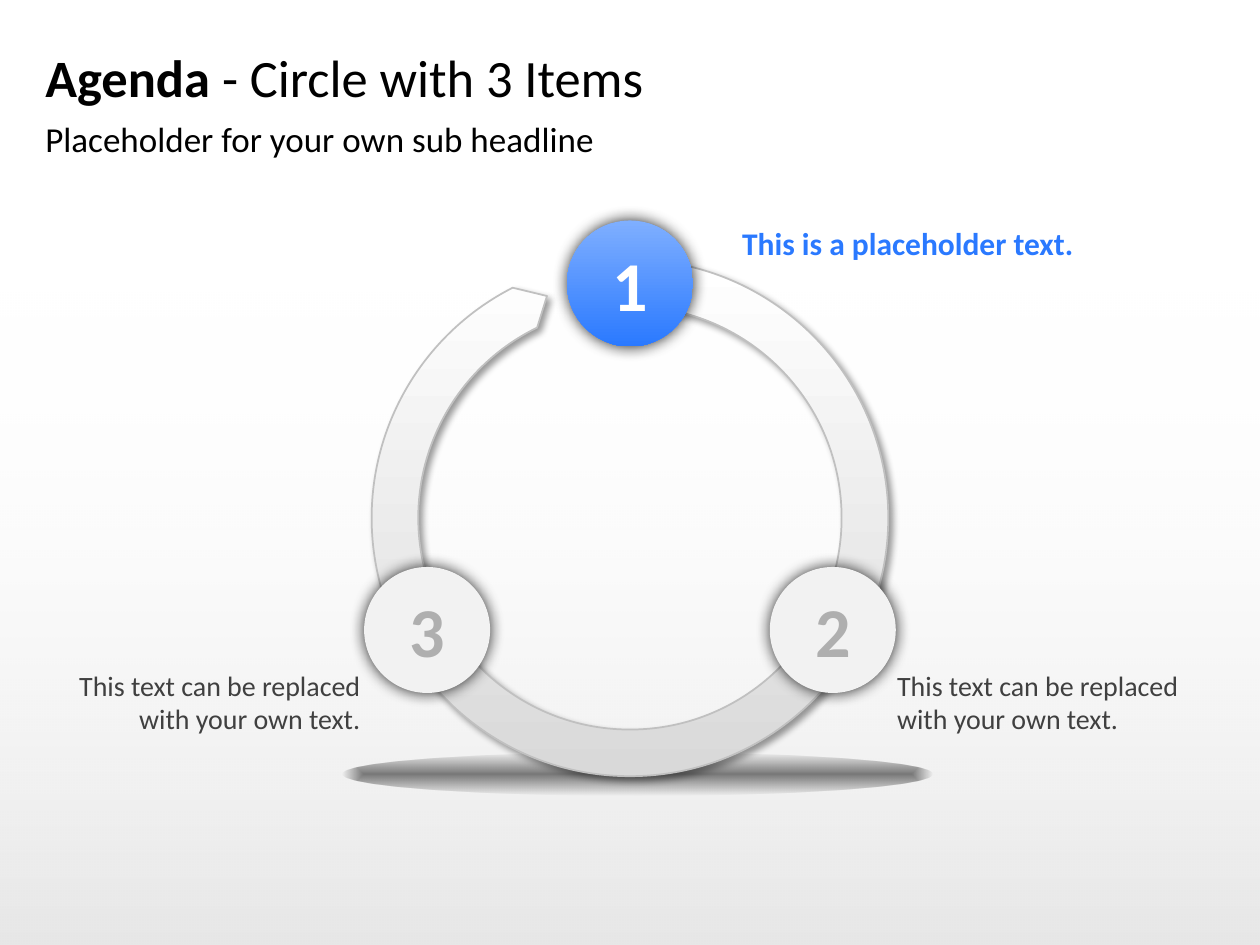
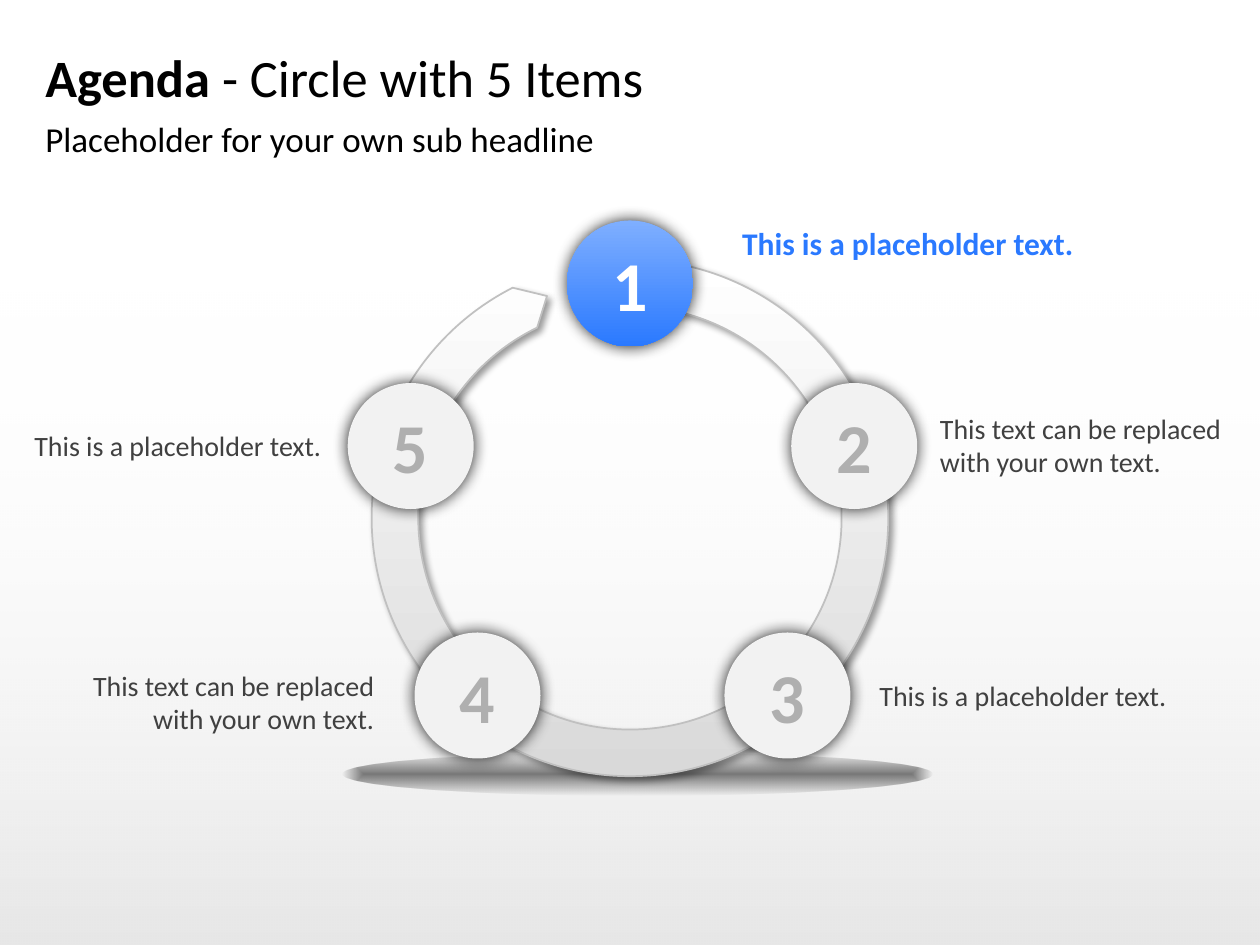
import itertools
import math

import pptx
import pptx.dml.color
import pptx.enum.shapes
import pptx.enum.text
import pptx.oxml
import pptx.oxml.ns
import pptx.util
from pptx.util import Inches

RGBColor = pptx.dml.color.RGBColor
MSO_SHAPE = pptx.enum.shapes.MSO_SHAPE
ALIGN = pptx.enum.text.PP_ALIGN
ANCHOR = pptx.enum.text.MSO_ANCHOR
FIT = pptx.enum.text.MSO_AUTO_SIZE
qn = pptx.oxml.ns.qn

BLACK = RGBColor(0x00, 0x00, 0x00)
WHITE = RGBColor(0xFF, 0xFF, 0xFF)
BLUE = RGBColor(0x2A, 0x79, 0xFF)
LIGHT_BLUE = RGBColor(0x7F, 0xAF, 0xFF)
DISC_GRAY = RGBColor(0xF2, 0xF2, 0xF2)
NUMBER_GRAY = RGBColor(0xAF, 0xAF, 0xAF)
TEXT_GRAY = RGBColor(0x40, 0x40, 0x40)
RING_GRAY = RGBColor(0xD9, 0xD9, 0xD9)
RING_EDGE = RGBColor(0xC0, 0xC0, 0xC0)

CENTER_X, CENTER_Y = 5, 4.11
OUTER_R, INNER_R, TIP_R = 2.05, 1.68, 1.88
OUTER_ANGLES = (-3, 90, 180, 270, 333)
INNER_ANGLES = (334, 270, 180, 90, -3)
TIP_ANGLE = 339.5
DISC = 1
LABEL_W = 2.32
LINE_H = 0.27

SHORT = "This is a placeholder text."
LONG = "This text can be replaced with your own text."


def write(tf, text, size=16, color=BLACK, bold=False, align=ALIGN.LEFT,
          anchor=ANCHOR.MIDDLE, fit=FIT.NONE, lead=""):
    tf.word_wrap = True
    tf.auto_size = fit
    tf.vertical_anchor = anchor
    tf.margin_left = tf.margin_right = tf.margin_top = tf.margin_bottom = 0
    p = tf.paragraphs[0]
    p.alignment = align
    p.space_before = pptx.util.Pt(0)
    for part, is_bold in ((lead, True), (text, bold)):
        if part:
            r = p.add_run()
            r.text = part
            r.font.name = "Calibri"
            r.font.size = pptx.util.Pt(size)
            r.font.bold = is_bold
            r.font.color.rgb = color
    return p


def ring_point(radius, degrees):
    a = math.radians(degrees)
    return (Inches(CENTER_X + radius * math.sin(a)),
            Inches(CENTER_Y - radius * math.cos(a)))


def arc_controls(radius, start, end):
    k = 4 / 3 * math.tan(math.radians(end - start) / 4)
    lean = math.degrees(math.atan(k))
    reach = radius * math.hypot(1, k)
    return ring_point(reach, start + lean), ring_point(reach, end - lean)


def element(xml):
    head, tail = xml.split(" ", 1)
    return pptx.oxml.parse_xml(f"{head} {pptx.oxml.ns.nsdecls('a')} {tail}")


class Deck:
    def __init__(self):
        self.prs = pptx.Presentation()
        self.prs.slide_width = Inches(10)
        self.prs.slide_height = Inches(7.5)
        self.s = None

    def add_slide(self, topic):
        self.s = self.prs.slides.add_slide(self.prs.slide_layouts[1])
        title, body = self.s.placeholders
        self.place(title, 0.36, 0.27, 9.29, 0.67)
        write(title.text_frame, topic, size=30, lead="Agenda ")
        self.place(body, 0.36, 0.93, 9.29, 0.37)
        p = write(body.text_frame, "Placeholder for your own sub headline",
                  size=20, anchor=ANCHOR.TOP)
        pPr = p._p.get_or_add_pPr()
        pPr.set("marL", "0")
        pPr.set("indent", "0")
        pPr.append(element("<a:buNone />"))

    def place(self, sp, x, y, w, h):
        sp.left, sp.top, sp.width, sp.height = map(Inches, (x, y, w, h))

    def shape(self, shapes, kind, x, y, w, h):
        sp = shapes.add_shape(kind, *map(Inches, (x, y, w, h)))
        sp.shadow.inherit = False
        sp.line.fill.background()
        return sp

    def gradient(self, sp, colors, angle=270, alphas=(), from_center=False):
        sp.fill.gradient()
        sp.fill.gradient_angle = angle
        for stop, color in zip(sp.fill.gradient_stops, colors):
            stop.color.rgb = color
        grad = sp._element.spPr.find(qn("a:gradFill"))
        for clr, alpha in zip(grad.iter(qn("a:srgbClr")), alphas):
            clr.append(element(f'<a:alpha val="{alpha * 1000}"/>'))
        if from_center:
            grad.replace(grad.find(qn("a:lin")), element(
                '<a:path path="shape"><a:fillToRect l="50000" t="50000" '
                'r="50000" b="50000"/></a:path>'))

    def shadow(self, sp, alpha, blur, dist=0, angle=0):
        sp.shadow.inherit = False
        sp._element.spPr.find(qn("a:effectLst")).append(element(
            f'<a:outerShdw blurRad="{blur * 12700}" dist="{dist * 12700}" '
            f'dir="{angle * 60000}" algn="ctr" rotWithShape="0">'
            f'<a:srgbClr val="000000"><a:alpha val="{alpha * 1000}"/>'
            '</a:srgbClr></a:outerShdw>'))

    def master_glow(self):
        sp = self.shape(self.s.shapes, MSO_SHAPE.RECTANGLE, 0, 2.21, 10, 5.29)
        self.gradient(sp, (BLACK, WHITE), angle=90, alphas=(10, 0))
        self.prs.slide_master.element.cSld.spTree.insert(2, sp._element)

    def floor_shadow(self):
        sp = self.shape(self.s.shapes, MSO_SHAPE.OVAL, 2.72, 5.97, 4.68, 0.34)
        self.gradient(sp, (BLACK, BLACK), alphas=(50, 0), from_center=True)
        self.s.shapes._spTree.insert(2, sp._element)

    def ring(self):
        corners = [(OUTER_R, a) for a in OUTER_ANGLES]
        corners.append((TIP_R, TIP_ANGLE))
        corners += [(INNER_R, a) for a in INNER_ANGLES]
        points = [ring_point(*corner) for corner in corners]
        fb = self.s.shapes.build_freeform(*points[0])
        fb.add_line_segments(points[1:], close=True)
        sp = fb.convert_to_shape()
        lines = list(sp._element.iter(qn("a:lnTo")))
        for line, (a, b) in zip(lines, itertools.pairwise(corners)):
            if a[0] == b[0]:
                line.tag = qn("a:cubicBezTo")
                for i, (x, y) in enumerate(arc_controls(a[0], a[1], b[1])):
                    line.insert(i, element(
                        f'<a:pt x="{x - sp.left}" y="{y - sp.top}"/>'))
        self.gradient(sp, (WHITE, RING_GRAY))
        sp.line.color.rgb = RING_EDGE
        sp.line.width = pptx.util.Pt(1)
        self.shadow(sp, 40, 4, 3, 45)

    def item(self, number, disc_x, disc_y, text, x, y, active=False):
        shapes = self.s.shapes.add_group_shape().shapes
        sp = self.shape(shapes, MSO_SHAPE.OVAL, disc_x - DISC / 2,
                        disc_y - DISC / 2, DISC, DISC)
        self.shadow(sp, 83, 9)
        if active:
            self.gradient(sp, (LIGHT_BLUE, BLUE))
        else:
            sp.fill.solid()
            sp.fill.fore_color.rgb = DISC_GRAY
        write(sp.text_frame, str(number), size=40, bold=True,
              color=WHITE if active else NUMBER_GRAY, align=ALIGN.CENTER)
        w, h = (2.92, 0.3) if active else (
            LABEL_W, LINE_H * (2 if text == LONG else 1))
        tb = shapes.add_textbox(*map(Inches, (x, y, w, h)))
        write(tb.text_frame, text, size=18 if active else 16, bold=active,
              color=BLUE if active else TEXT_GRAY,
              align=ALIGN.RIGHT if disc_x < CENTER_X else ALIGN.LEFT,
              fit=FIT.SHAPE_TO_FIT_TEXT)

    def agenda_circle(self, axis_x, items):
        self.add_slide(f"- Circle with {len(items) + 1} Items")
        self.floor_shadow()
        self.ring()
        self.item(1, CENTER_X, 2.25, SHORT, 5.89, 1.78, active=True)
        for number, dx, disc_y, text, x, y in items:
            self.item(number, axis_x + dx, disc_y, text, x, y)


def main():
    deck = Deck()
    deck.agenda_circle(5, [
        (2, 1.61, 5, LONG, 7.12, 5.3),
        (3, -1.61, 5, LONG, 0.54, 5.3),
    ])
    deck.master_glow()
    deck.agenda_circle(5.02, [
        (3, 1.23, 5.52, SHORT, 6.98, 5.38),
        (4, -1.23, 5.52, LONG, 0.65, 5.3),
        (2, 1.76, 3.54, LONG, 7.46, 3.26),
        (5, -1.76, 3.54, SHORT, 0.23, 3.4),
    ])
    deck.prs.save("out.pptx")


if __name__ == "__main__":
    main()
